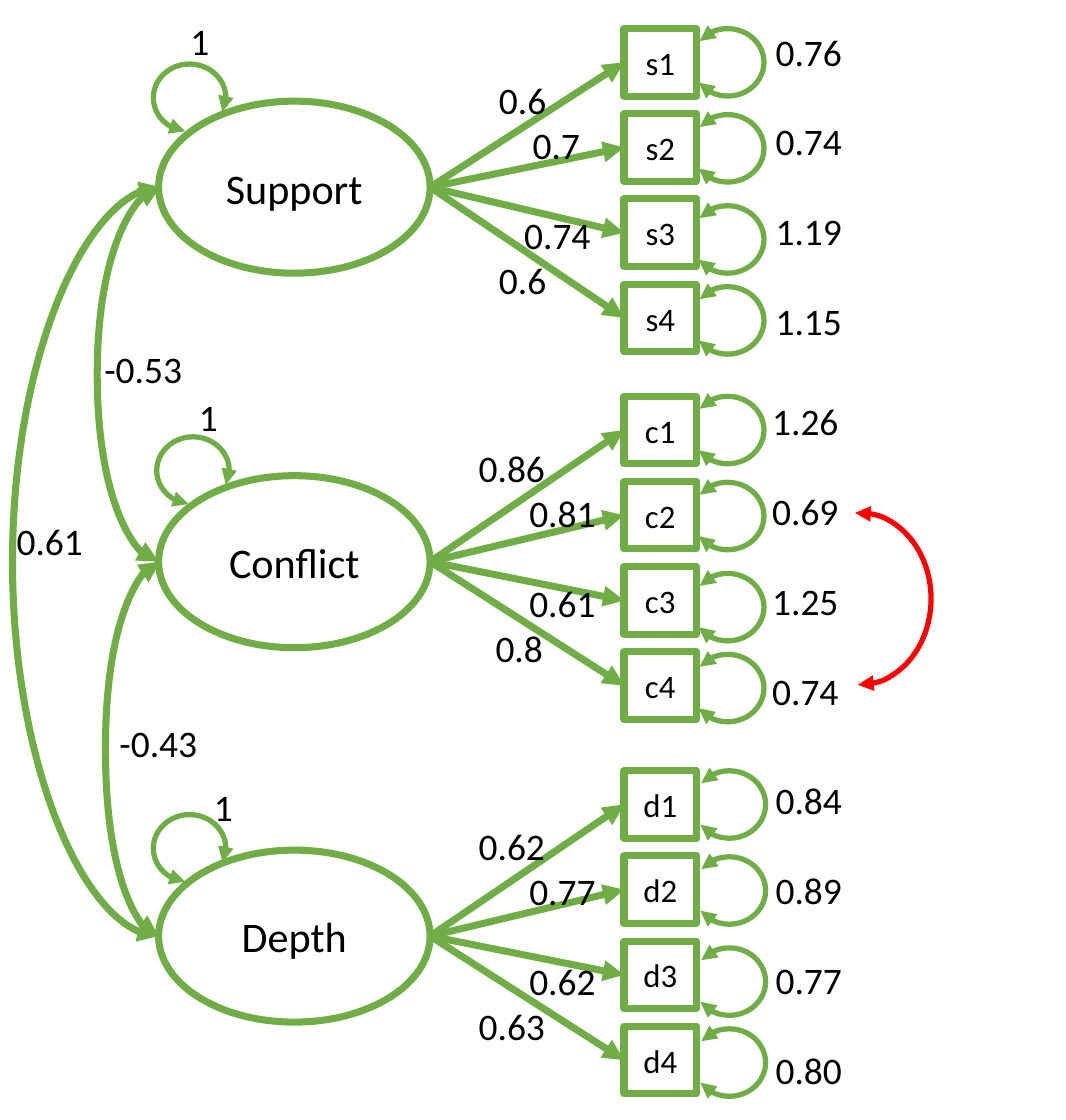
from dataclasses import dataclass

from pptx import Presentation
from pptx.dml.color import RGBColor
from pptx.enum.shapes import MSO_CONNECTOR, MSO_SHAPE
from pptx.enum.text import MSO_ANCHOR, PP_ALIGN
from pptx.oxml import parse_xml
from pptx.oxml.ns import nsdecls
from pptx.util import Inches, Pt

COLORS = {"path": "70AD47", "correlation": "FF0000", "fill": "FFFFFF", "text": "000000"}
FONT_NAME = "Calibri"
LABEL_SIZE = 16
LINE_HEIGHT = 19.2
LABEL_WIDTH, LABEL_HEIGHT = 0.85, 0.37
LOADINGS_WIDTH = 0.97

FACTOR_LEFT, FACTOR_WIDTH, FACTOR_HEIGHT = 0.94, 1.61, 1.02
FACTOR_TOPS = [0.6 + 2.22 * index for index in range(3)]
ITEM_OFFSET, ITEM_PITCH = 2.76, 0.505
ITEM_WIDTH, ITEM_HEIGHT = 0.43, 0.4
LOOP_OFFSETS = (0, 0.51, 1.05, 1.53)
ITEM_LOOP = (130.37, 87.08)
FACTOR_LOOP = (58.62, 13.89)
CORRELATION_ARC = (160.3, 54.55)
CURVE_WIDTH = 0.01


@dataclass
class Factor:
    """Wording of one factor and the offsets of its parts from its ellipse."""

    name: str
    prefix: str
    loadings: tuple
    indents: tuple
    residuals: tuple
    items_top: float
    loops_left: float
    loadings_at: tuple
    residuals_at: tuple
    self_loop_at: tuple
    variance_at: tuple


FACTORS = (
    Factor("Support", "s", ("0.6", "0.7", "0.74", "0.6"), (0, 0.2, 0.15, 0),
           ("0.76", "0.74", "1.19", "1.15"), -0.43, 3.16,
           (1.92, -0.19), (3.56, -0.48), (-0.03, -0.22), (0.09, -0.54)),
    Factor("Conflict", "c", ("0.86", "0.81", "0.61", "0.8"), (0, 0.3, 0.3, 0.1),
           ("1.26", "0.69", "1.25", "0.74"), -0.47, 3.16,
           (1.8, -0.23), (3.54, -0.51), (-0.01, -0.23), (0.14, -0.53)),
    Factor("Depth", "d", ("0.62", "0.77", "0.62", "0.63"), (0, 0.3, 0.3, 0),
           ("0.84", "0.89", "0.77", "0.80"), -0.47, 3.17,
           (1.8, -0.21), (3.56, -0.48), (-0.03, -0.21), (0.23, -0.44)),
)


def set_attributes(target, values):
    """Set every named value on the target."""
    for name, value in values.items():
        setattr(target, name, value)


def write_span(para, text, size):
    """Add a formatted span of text to a paragraph."""
    span = para.add_run()
    span.text = text
    set_attributes(span.font, {"name": FONT_NAME, "size": Pt(size)})
    span.font.color.rgb = RGBColor.from_string(COLORS["text"])


def style_line(shape, width, color="path", ends=()):
    """Colour an outline and put triangles on the named ends."""
    shape.line.color.rgb = RGBColor.from_string(COLORS[color])
    shape.line.width = Pt(width)
    outline = shape.line._get_or_add_ln()
    for end in ends:
        outline.append(parse_xml(f'<a:{end} {nsdecls("a")} type="triangle"/>'))


def add_node(page, kind, left, top, width, height, text, size):
    """Add an outlined shape with centred text."""
    node = page.shapes.add_shape(kind, Inches(left), Inches(top), Inches(width), Inches(height))
    node.shadow.inherit = False
    node.fill.solid()
    node.fill.fore_color.rgb = RGBColor.from_string(COLORS["fill"])
    style_line(node, 3)
    set_attributes(node.text_frame, {
        "vertical_anchor": MSO_ANCHOR.MIDDLE, "word_wrap": True,
        "margin_left": 0, "margin_right": 0, "margin_top": 0, "margin_bottom": 0})
    para = node.text_frame.paragraphs[0]
    para.alignment = PP_ALIGN.CENTER
    write_span(para, text, size)
    return node


def add_arc(page, left, top, width, height, angles, color="path"):
    """Add an open arc with an arrowhead at both ends."""
    arc = page.shapes.add_shape(
        MSO_SHAPE.ARC, Inches(left), Inches(top), Inches(width), Inches(height))
    arc.shadow.inherit = False
    arc.fill.background()
    arc.adjustments[0], arc.adjustments[1] = angles
    style_line(arc, 2.25, color, ("headEnd", "tailEnd"))


def add_path(page, kind, start, finish, ends):
    """Add a connector without shadow between two points."""
    path = page.shapes.add_connector(kind, *(Inches(length) for length in (*start, *finish)))
    style_line(path, 3, ends=ends)
    path._element.spPr.append(parse_xml(f'<a:effectLst {nsdecls("a")}/>'))
    return path


def add_labels(page, left, top, texts, gaps=(), indents=(),
               width=LABEL_WIDTH, height=LABEL_HEIGHT):
    """Add a column of labels with the given gaps and indents."""
    box = page.shapes.add_textbox(Inches(left), Inches(top), Inches(width), Inches(height))
    set_attributes(box.text_frame, {"word_wrap": True, "margin_right": 0})
    for index, text in enumerate(texts):
        para = box.text_frame.add_paragraph() if index else box.text_frame.paragraphs[0]
        if indents:
            para._p.get_or_add_pPr().set("marL", str(Inches(indents[index])))
        if gaps and gaps[index]:
            para.space_before = Pt(gaps[index])
        write_span(para, text, LABEL_SIZE)


def draw_factor(page, left, top, factor):
    """Draw a factor with its items, loadings and variances."""
    add_node(page, MSO_SHAPE.OVAL, left, top, FACTOR_WIDTH, FACTOR_HEIGHT, factor.name, 18)
    start = (left + FACTOR_WIDTH, top + FACTOR_HEIGHT / 2)
    items_top = top + factor.items_top
    for index, loop_offset in enumerate(LOOP_OFFSETS):
        item_left, item_top = left + ITEM_OFFSET, items_top + index * ITEM_PITCH
        item = add_node(page, MSO_SHAPE.RECTANGLE, item_left, item_top,
                        ITEM_WIDTH, ITEM_HEIGHT, f"{factor.prefix}{index + 1}", 14)
        arrow = add_path(page, MSO_CONNECTOR.STRAIGHT, start,
                         (item_left, item_top + ITEM_HEIGHT / 2), ("tailEnd",))
        arrow.end_connect(item, 1)
        add_arc(page, left + factor.loops_left, items_top + loop_offset,
                ITEM_WIDTH, ITEM_HEIGHT, ITEM_LOOP)
    loop_x, loop_y = factor.self_loop_at
    add_arc(page, left + loop_x, top + loop_y, ITEM_WIDTH, ITEM_HEIGHT, FACTOR_LOOP)
    columns = (
        (factor.variance_at, ("1",), (), (), LABEL_WIDTH, LABEL_HEIGHT),
        (factor.loadings_at, factor.loadings, (0, 0, LINE_HEIGHT, 0), factor.indents,
         LOADINGS_WIDTH, 1.45),
        (factor.residuals_at, factor.residuals, (0,) + (LINE_HEIGHT,) * 3, (),
         LABEL_WIDTH, 1.99),
    )
    for (x, y), *column in columns:
        add_labels(page, left + x, top + y, *column)


def draw_covariance(page, left, top, bottom, bulge, text, label_at):
    """Draw a curve bulging left between two factors, with its value."""
    curve = add_path(page, MSO_CONNECTOR.CURVE, (left, bottom), (left + CURVE_WIDTH, top),
                     ("headEnd", "tailEnd"))
    properties = curve._element.spPr
    properties.xfrm.set("rot", str(180 * 60000))
    geometry = properties.prstGeom
    for guides in geometry.findall(f"{{{geometry.nsmap['a']}}}avLst"):
        geometry.remove(guides)
    ratio = round(bulge / CURVE_WIDTH * 100000)
    geometry.append(parse_xml(
        f'<a:avLst {nsdecls("a")}><a:gd name="adj1" fmla="val {ratio}"/></a:avLst>'))
    add_labels(page, *label_at, (text,))


def main():
    """Build the factor model on one page."""
    deck = Presentation()
    set_attributes(deck, {"slide_width": Inches(6.32), "slide_height": Inches(6.64)})
    page = deck.slides.add_slide(deck.slide_layouts[6])
    for top, factor in zip(FACTOR_TOPS, FACTORS):
        draw_factor(page, FACTOR_LEFT, top, factor)
    support, conflict, depth = (top + FACTOR_HEIGHT / 2 for top in FACTOR_TOPS)
    draw_covariance(page, FACTOR_LEFT, support, depth, 0.89, "0.61", (0, 3.02))
    draw_covariance(page, FACTOR_LEFT, support, conflict, 0.38, "-0.53", (0.52, 2))
    draw_covariance(page, FACTOR_LEFT, conflict, depth, 0.33, "-0.43", (0.61, 4.22))
    add_arc(page, 4.67, 3.04, 0.85, 1.02, CORRELATION_ARC, "correlation")
    deck.save("out.pptx")


if __name__ == "__main__":
    main()
